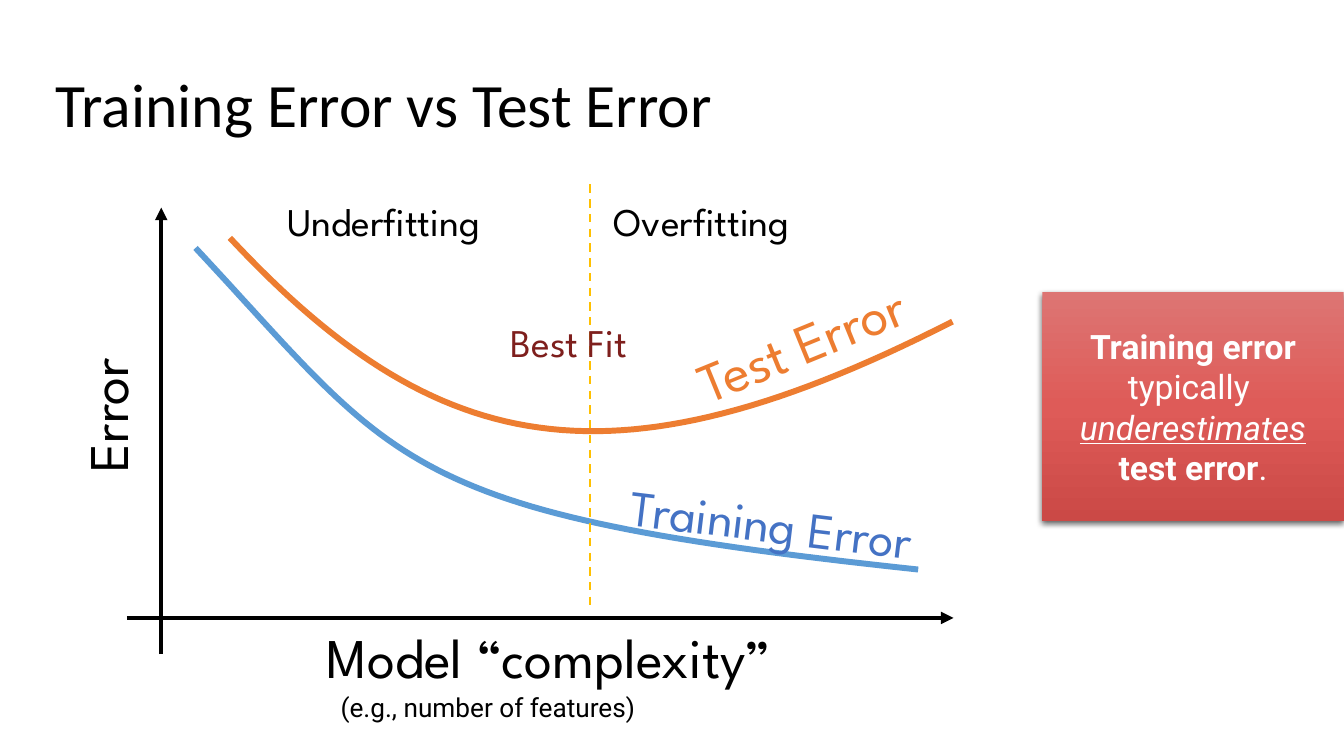
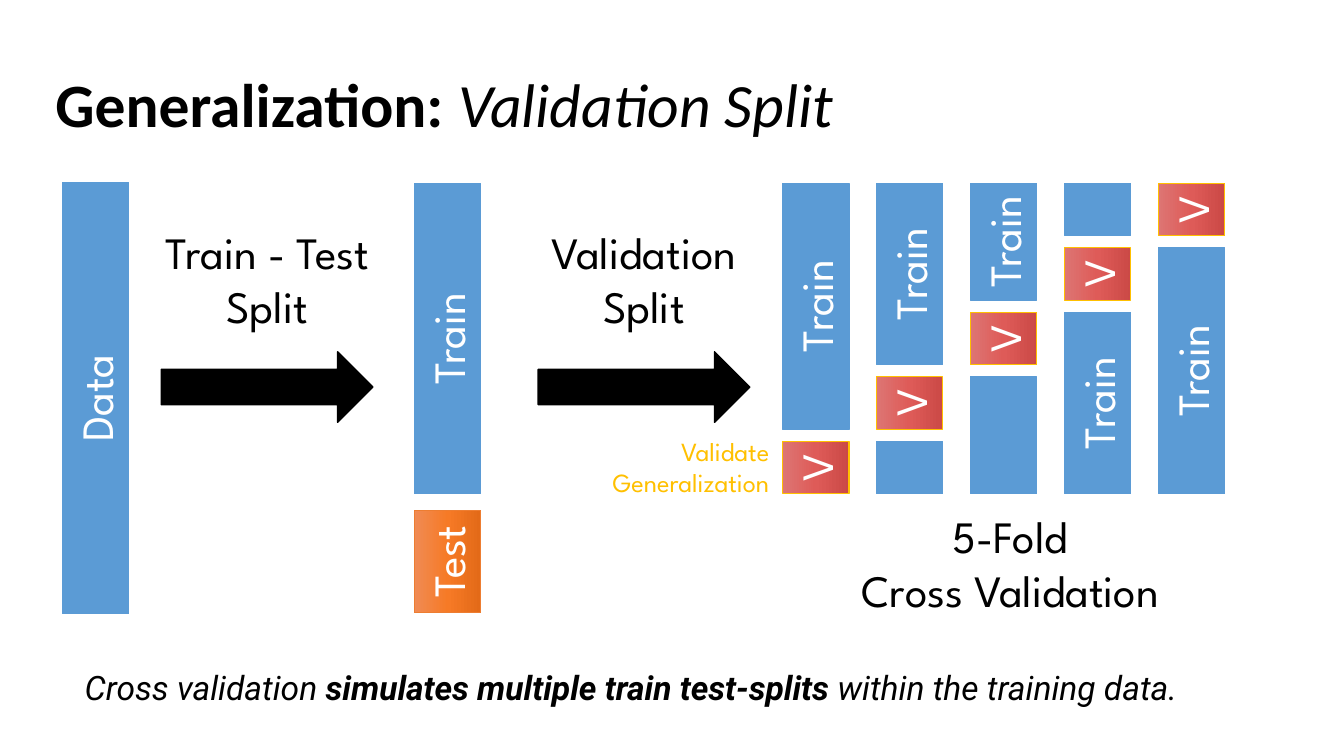
from copy import deepcopy
from dataclasses import dataclass

from lxml.etree import SubElement
from pptx import Presentation
from pptx.dml.color import RGBColor
from pptx.enum.dml import MSO_LINE
from pptx.enum.shapes import MSO_CONNECTOR, MSO_SHAPE
from pptx.enum.text import MSO_ANCHOR, MSO_AUTO_SIZE, PP_ALIGN
from pptx.oxml.ns import qn
from pptx.util import Pt


@dataclass(frozen=True)
class Theme:
    title_font: str = "Calibri"
    label_font: str = "League Spartan"
    body_font: str = "Roboto"
    black: str = "000000"
    white: str = "FFFFFF"
    blue: str = "5B9BD5"
    deep_blue: str = "4472C4"
    orange: str = "ED7D31"
    gold: str = "FFC000"
    maroon: str = "7E1F1D"
    red_gradient: tuple = ("DD7573", "DE5B58", "CB4946")
    orange_gradient: tuple = ("F08B54", "F67A26", "E36A18")
    title: float = 44
    axis: float = 40
    curve: float = 36
    block: float = 32
    region: float = 28
    body: float = 24
    small: float = 18.7


THEME = Theme()
LEFT, CENTER, RIGHT = PP_ALIGN.LEFT, PP_ALIGN.CENTER, PP_ALIGN.RIGHT
TITLE_BOX = (32.4, 46.8, 894.2, 60.5)

# Content: error curves. Rich text is a list of (text, style letters).
ERROR_TITLE = [("Training Error vs Test Error", "")]
AXES = [((115.2, 467.3), (115.2, 148.3)), ((90.7, 441.4), (681.1, 441.4))]
BEST_FIT_LINE = ((421.2, 131.8), (421.2, 436.3))
CURVES = [  # colour, start, two control points, end
    (THEME.blue, (139.7, 177.1), (285.8, 333.4), (283, 367.2), (655.9, 406.8)),
    (THEME.orange, (164.2, 169.9), (310.3, 326.2), (434.9, 355), (680.4, 229.7)),
]
ERROR_LABELS = [  # text, box, size, colour, rotation
    ("Model “complexity”", (226.1, 441.4, 406.8, 55.4), THEME.axis, THEME.black, 0),
    ("Error", (25.9, 267.1, 99.4, 55.4), THEME.axis, THEME.black, 270),
    ("Training Error", (442.8, 349.2, 236.2, 51.1), THEME.curve, THEME.deep_blue, 6.9),
    ("Test Error", (486.7, 214.6, 182.9, 55.4), THEME.axis, THEME.orange, 337.8),
    ("Best Fit", (357.8, 223.9, 106.6, 41), THEME.region, THEME.maroon, 0),
    ("Overfitting", (431.3, 137.5, 193, 41), THEME.region, THEME.black, 0),
    ("Underfitting", (198, 137.5, 215.3, 41), THEME.region, THEME.black, 0),
]
COMPLEXITY_NOTE = ("(e.g., number of features)", (236.2, 490.3, 306, 28.8))
CALLOUT_BOX = (744.5, 208.8, 215.3, 163.4)
CALLOUT = [
    ("Training error", "b"), (" typically ", ""), ("\n", ""),
    ("underestimates", "iu"), (" ", ""), ("test error", "b"), (".", ""),
]

# Content: validation split
SPLIT_TITLE = [("Generalization: ", "b"), ("Validation Split", "i")]
BAR_WIDTH = 47.5
BARS = [  # label, left, top, height, fill, line
    ("Data", 44.6, 130.3, 308.2, THEME.blue, THEME.blue),
    ("Train", 295.9, 131, 221.8, THEME.blue, THEME.blue),
    ("Test", 295.9, 364.3, 73.4, THEME.orange_gradient, THEME.orange),
]
STEPS = ["Train - Test\nSplit", "Validation\nSplit"]
STEP_LEFT, STEP_PITCH, STEP_WIDTH, ARROW_WIDTH = 103.3, 269.2, 175, 151.2
FOLDS = 5
FOLD_LEFT, FOLD_TOP = 559, 130.8
FOLD_PITCH, SLOT_PITCH, SLOT_GAP = 67.1, 46.1, 8.6
FOLD_CAPTION = ("5-Fold\nCross Validation", (589, 360, 265.7, 85))
VALIDATE_NOTE = ("Validate\vGeneralization", (381.6, 307.4, 175, 51.1))
SUMMARY_BOX = (40.3, 473, 820.8, 36)
SUMMARY = [
    ("Cross validation ", "i"),
    ("simulates multiple train test-splits ", "bi"),
    ("within the training data.", "i"),
]


def points(values):
    return [Pt(value) for value in values]


def write_text(frame, content, font, size, color, align=LEFT):
    """Write a plain string, or one paragraph of styled runs."""
    frame.word_wrap = True
    if isinstance(content, str):
        frame.text = content
    else:
        for text, style in content:
            if text == "\n":
                frame.paragraphs[0].add_line_break()
                continue
            run = frame.paragraphs[0].add_run()
            run.text = text
            run.font.bold = "b" in style
            run.font.italic = "i" in style
            run.font.underline = "u" in style
    for paragraph in frame.paragraphs:
        paragraph.alignment = align
        for run in paragraph.runs:
            run.font.name = font
            run.font.size = Pt(size)
            run.font.color.rgb = RGBColor.from_string(color)


def add_label(slide, content, box, size, color=THEME.black,
              font=THEME.label_font, align=LEFT, rotation=0):
    label = slide.shapes.add_textbox(*points(box))
    label.rotation = rotation
    write_text(label.text_frame, content, font, size, color, align)


def paint(shape, fill, line=None, line_width=0.75):
    """Fill with one colour, or with a top-to-bottom gradient of three."""
    shape.shadow.inherit = False
    if isinstance(fill, str):
        shape.fill.solid()
        shape.fill.fore_color.rgb = RGBColor.from_string(fill)
    else:
        shape.fill.gradient()
        shape.fill.gradient_angle = 270
        stop_list = next(shape._element.spPr.iter(qn("a:gsLst")))
        stop_list.insert(1, deepcopy(stop_list[0]))
        for index, (stop, color) in enumerate(zip(shape.fill.gradient_stops, fill)):
            stop.position = index / 2
            stop.color.rgb = RGBColor.from_string(color)
    if line:
        shape.line.color.rgb = RGBColor.from_string(line)
        shape.line.width = Pt(line_width)
    else:
        shape.line.fill.background()


def add_line(slide, start, end, color, width, arrow=False, dashed=False):
    line = slide.shapes.add_connector(MSO_CONNECTOR.STRAIGHT, *points(start + end))
    line.line.color.rgb = RGBColor.from_string(color)
    line.line.width = Pt(width)
    if dashed:
        line.line.dash_style = MSO_LINE.DASH
    if arrow:
        SubElement(line.line._get_or_add_ln(), qn("a:tailEnd"), type="triangle")
    SubElement(line._element.spPr, qn("a:effectLst"))


def add_curve(slide, color, *controls, steps=60):
    """Draw a cubic Bézier curve through evenly sampled points."""
    vertices = []
    for step in range(steps + 1):
        t = step / steps
        weights = ((1 - t) ** 3, 3 * t * (1 - t) ** 2, 3 * t * t * (1 - t), t ** 3)
        vertices.append(points(
            sum(weight * control[axis] for weight, control in zip(weights, controls))
            for axis in (0, 1)))
    builder = slide.shapes.build_freeform(*vertices[0])
    builder.add_line_segments(vertices[1:], close=False)
    curve = builder.convert_to_shape()
    curve.shadow.inherit = False
    curve.fill.background()
    curve.line.color.rgb = RGBColor.from_string(color)
    curve.line.width = Pt(4.25)


def add_bar(slide, label, left, top, height, fill, line):
    """Add an upright bar: a rectangle turned so that its text reads upwards."""
    shift = (height - BAR_WIDTH) / 2
    bar = slide.shapes.add_shape(
        MSO_SHAPE.RECTANGLE, *points((left - shift, top + shift, height, BAR_WIDTH)))
    bar.rotation = 270
    paint(bar, fill, line)
    if label:
        bar.text_frame.vertical_anchor = MSO_ANCHOR.MIDDLE
        write_text(bar.text_frame, label, THEME.label_font, THEME.block,
                   THEME.white, CENTER)


def add_titled_slide(presentation, content):
    slide = presentation.slides.add_slide(presentation.slide_layouts[5])
    title = slide.shapes.title
    title.left, title.top, title.width, title.height = points(TITLE_BOX)
    frame = title.text_frame
    frame.auto_size = MSO_AUTO_SIZE.NONE
    frame.vertical_anchor = MSO_ANCHOR.MIDDLE
    write_text(frame, content, THEME.title_font, THEME.title, THEME.black)
    frame.paragraphs[0].line_spacing = 0.9
    return slide


def add_callout(slide):
    callout = slide.shapes.add_shape(MSO_SHAPE.RECTANGLE, *points(CALLOUT_BOX))
    paint(callout, THEME.red_gradient)
    effects = callout._element.spPr.find(qn("a:effectLst"))
    shadow = SubElement(effects, qn("a:outerShdw"), blurRad=str(Pt(4.5)),
                        dist=str(Pt(1.5)), dir="5400000", rotWithShape="0")
    shade = SubElement(shadow, qn("a:srgbClr"), val=THEME.black)
    SubElement(shade, qn("a:alpha"), val="63000")
    frame = callout.text_frame
    frame.margin_left = frame.margin_right = Pt(14.4)
    frame.vertical_anchor = MSO_ANCHOR.MIDDLE
    write_text(frame, CALLOUT, THEME.body_font, THEME.body, THEME.white, CENTER)


def build_error_slide(presentation):
    slide = add_titled_slide(presentation, ERROR_TITLE)
    for start, end in AXES:
        add_line(slide, start, end, THEME.black, 3, arrow=True)
    for curve in CURVES:
        add_curve(slide, *curve)
    add_line(slide, *BEST_FIT_LINE, THEME.gold, 1.5, dashed=True)
    for text, box, size, color, rotation in ERROR_LABELS:
        add_label(slide, text, box, size, color, rotation=rotation)
    add_label(slide, *COMPLEXITY_NOTE, THEME.small, font=THEME.body_font)
    add_callout(slide)


def add_folds(slide):
    """Each fold validates one slot, moving up; the larger rest is named."""
    for fold in range(FOLDS):
        above, below = FOLDS - 1 - fold, fold
        parts = [  # label, first slot, slot count, fill, line
            ("Train" if above >= below else "", 0, above, THEME.blue, THEME.blue),
            ("V", above, 1, THEME.red_gradient, THEME.gold),
            ("Train" if below > above else "", above + 1, below,
             THEME.blue, THEME.blue),
        ]
        for label, first, count, fill, line in parts:
            if count:
                add_bar(slide, label, FOLD_LEFT + fold * FOLD_PITCH,
                        FOLD_TOP + first * SLOT_PITCH,
                        count * SLOT_PITCH - SLOT_GAP, fill, line)


def build_split_slide(presentation):
    slide = add_titled_slide(presentation, SPLIT_TITLE)
    for bar in BARS:
        add_bar(slide, *bar)
    # Step arrows, each centred under its caption
    for index, caption in enumerate(STEPS):
        left = STEP_LEFT + index * STEP_PITCH
        arrow_left = left + (STEP_WIDTH - ARROW_WIDTH) / 2
        arrow = slide.shapes.add_shape(
            MSO_SHAPE.RIGHT_ARROW, *points((arrow_left, 251.3, ARROW_WIDTH, 50.4)))
        paint(arrow, THEME.black, THEME.black, 1)
        add_label(slide, caption, (left, 157, STEP_WIDTH, 85), THEME.block,
                  align=CENTER)
    add_folds(slide)
    add_label(slide, *FOLD_CAPTION, THEME.block, align=CENTER)
    add_label(slide, *VALIDATE_NOTE, THEME.small, THEME.gold, align=RIGHT)
    add_label(slide, SUMMARY, SUMMARY_BOX, THEME.body, font=THEME.body_font,
              align=CENTER)


def main():
    presentation = Presentation()
    presentation.slide_width, presentation.slide_height = Pt(960), Pt(540)
    build_error_slide(presentation)
    build_split_slide(presentation)
    presentation.save("out.pptx")


if __name__ == "__main__":
    main()
